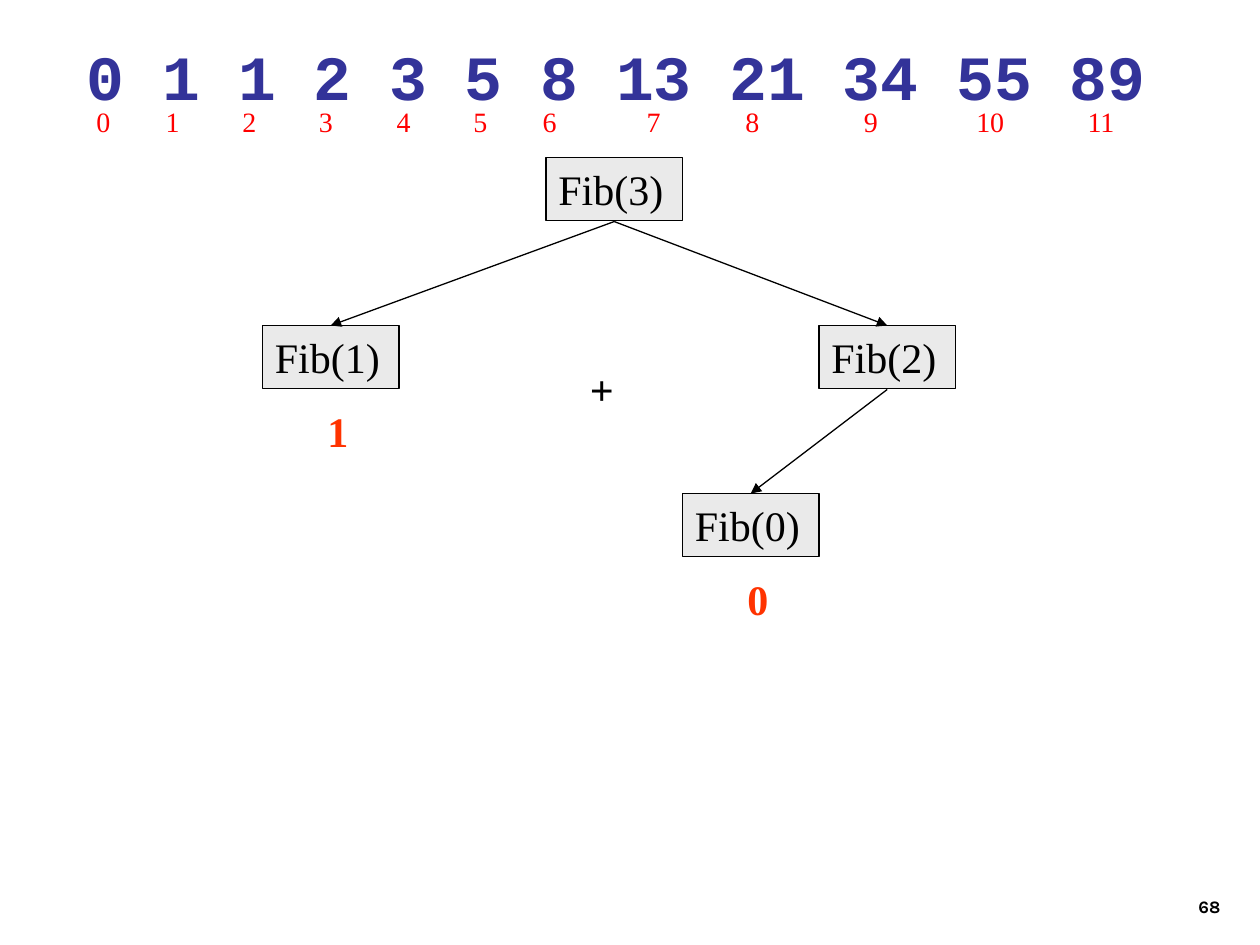
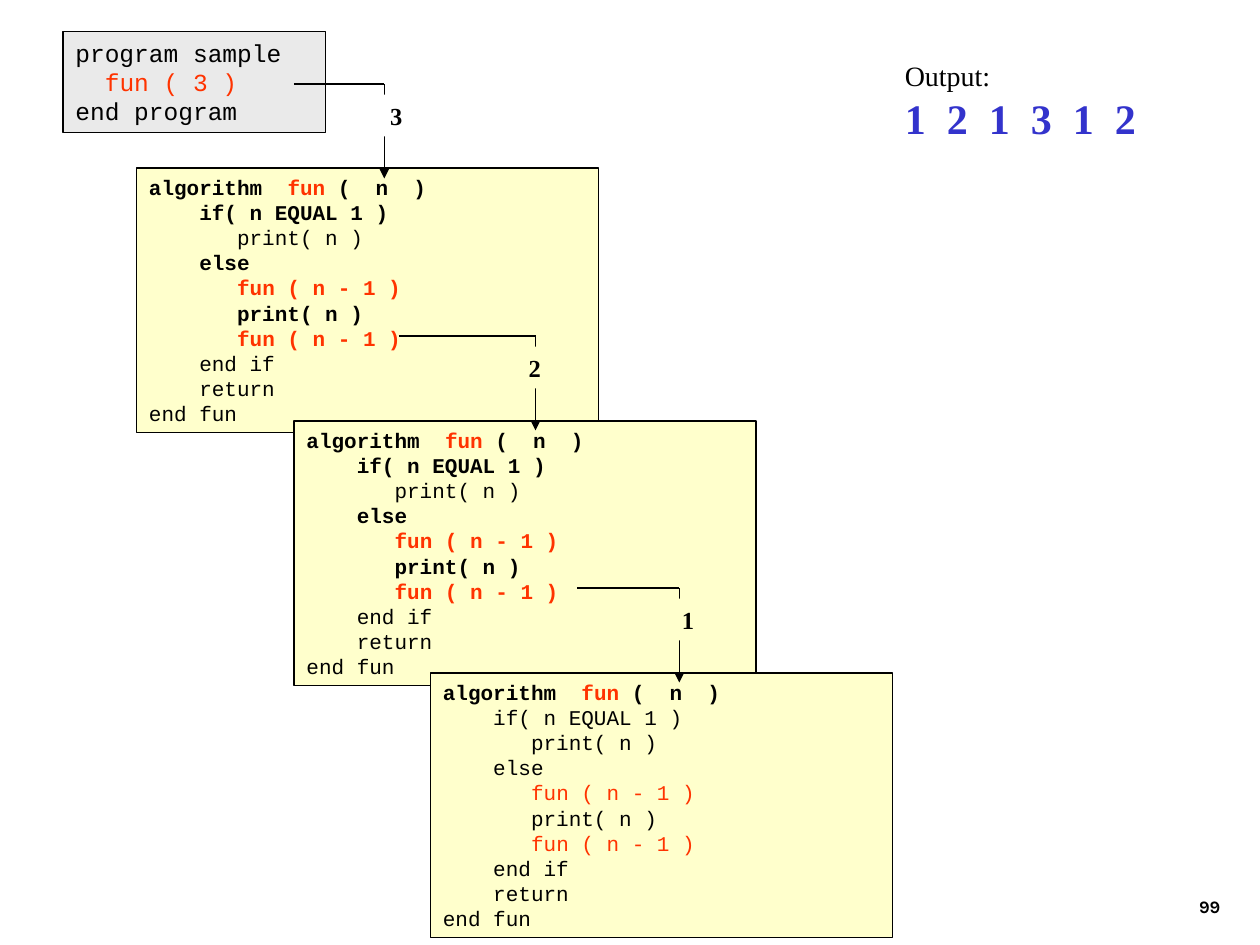
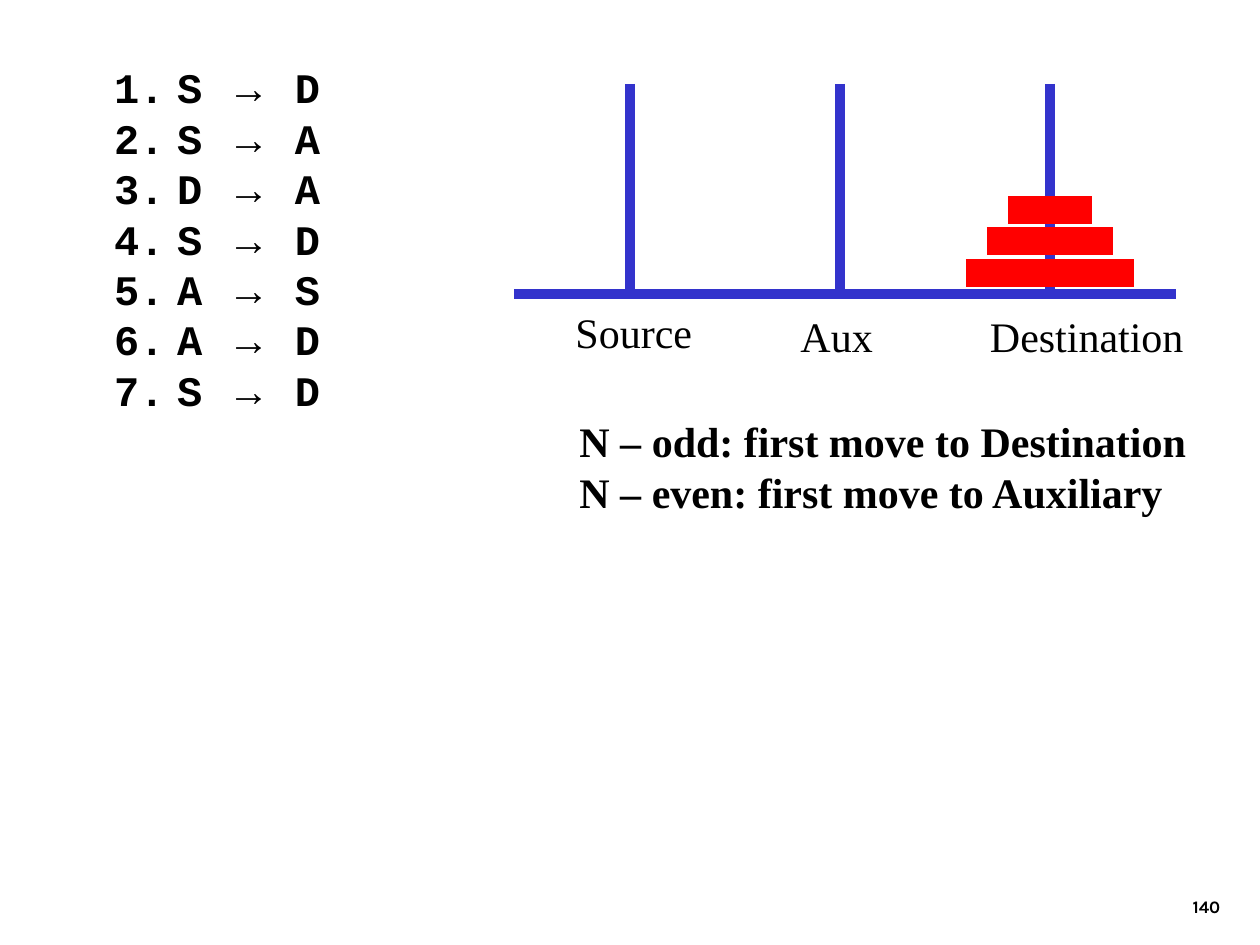
from dataclasses import dataclass, replace
from typing import NamedTuple, Optional

from lxml import etree
from pptx import Presentation
from pptx.dml.color import RGBColor
from pptx.enum.shapes import MSO_CONNECTOR, MSO_SHAPE
from pptx.enum.text import MSO_ANCHOR, MSO_AUTO_SIZE, PP_ALIGN
from pptx.oxml.ns import qn
from pptx.util import Inches, Pt

STRAIGHT = MSO_CONNECTOR.STRAIGHT
RECTANGLE = MSO_SHAPE.RECTANGLE
TOP, BOTTOM = MSO_ANCHOR.TOP, MSO_ANCHOR.BOTTOM
LEFT, RIGHT = PP_ALIGN.LEFT, PP_ALIGN.RIGHT
GROW = MSO_AUTO_SIZE.SHAPE_TO_FIT_TEXT

SLIDE_WIDTH, SLIDE_HEIGHT = Inches(10), Inches(7.5)
COLUMNS = 120
CELL = SLIDE_WIDTH / COLUMNS

BLACK, WHITE = "000000", "FFFFFF"
GRAY, CREAM = "EAEAEA", "FFFFCC"
RED, ORANGE = "FF0000", "FF3300"
BLUE, NAVY = "3333CC", "333399"
SERIF, MONO = "Times New Roman", "Courier New"


class Box(NamedTuple):
    column: float
    row: float
    columns: float
    rows: float


class Point(NamedTuple):
    column: float
    row: float


class Run(NamedTuple):
    text: str
    color: Optional[str] = None
    font: Optional[str] = None


@dataclass(frozen=True)
class Style:
    size: float
    font: str = SERIF
    color: str = BLACK
    bold: bool = False
    align: PP_ALIGN = LEFT
    tabs: tuple[float, ...] = ()
    numbered: bool = False


@dataclass(frozen=True)
class Paragraph:
    runs: tuple[Run, ...]
    style: Style


@dataclass(frozen=True)
class Node:
    label: str
    column: float
    row: float
    value: str = ""

    @property
    def box(self) -> Box:
        return Box(self.column, self.row, 13, 6)

    @property
    def top(self) -> Point:
        return Point(self.column + 6.5, self.row)

    @property
    def bottom(self) -> Point:
        return Point(self.column + 6.5, self.row + 6.1)


@dataclass(frozen=True)
class Call:
    argument: str
    start: Point
    turn: float
    badge: Box
    fill: str = CREAM


BODY = Style(24)
BOLD_BODY = replace(BODY, bold=True)
RESULT = replace(BOLD_BODY, color=ORANGE)
LABEL = replace(BODY, align=RIGHT)
PAGE_NUMBER = Style(10, "Karla", bold=True, align=RIGHT)
SEQUENCE = Style(36, MONO, NAVY, bold=True)
INDEX = Style(16, color=RED, tabs=(
    6.6, 13.9, 21.2, 28.6, 35.9, 42.5, 52.4, 61.8, 73.1, 83.8, 94.4))
CODE = Style(12, MONO)
PROGRAM = Style(14, MONO)
BADGE = Style(14, bold=True, align=RIGHT)
OUTPUT = replace(BOLD_BODY, color=BLUE, tabs=tuple(range(4, 24, 4)))
MOVE = replace(BOLD_BODY, font=MONO, numbered=True)

FUN_LINES = (
    "algorithm  |fun |(  n  )",
    "    if( n EQUAL 1 )",
    "       print( n )",
    "    else",
    "       |fun ( n - 1 )",
    "       print( n )",
    "       |fun ( n - 1 )",
    "    end if",
    "    return",
    "end fun",
)


def rgb(color: str) -> RGBColor:
    return RGBColor.from_string(color)


def grid(length: float) -> int:
    return round(length * CELL)


def plain(text: str, style: Style) -> Paragraph:
    return Paragraph((Run(text),), style)


def code(line: str, style: Style) -> Paragraph:
    parts = line.split("|")
    return Paragraph(tuple(Run(part, ORANGE if index % 2 else None)
                           for index, part in enumerate(parts)), style)


def add_list_and_tabs(paragraph, style: Style) -> None:
    properties = paragraph._p.get_or_add_pPr()
    if style.numbered:
        properties.set("marL", str(Inches(0.5)))
        properties.set("indent", str(-Inches(0.5)))
        etree.SubElement(properties, qn("a:buFont"), typeface=style.font)
        etree.SubElement(properties, qn("a:buAutoNum"), type="arabicPeriod")
    if style.tabs:
        tab_list = etree.SubElement(properties, qn("a:tabLst"))
        for tab in style.tabs:
            etree.SubElement(tab_list, qn("a:tab"), pos=str(grid(tab)), algn="l")


def write(shape, paragraphs: list[Paragraph], wrap: bool = True, anchor=TOP) -> None:
    frame = shape.text_frame
    frame.word_wrap = wrap
    frame.vertical_anchor = anchor
    for index, item in enumerate(paragraphs):
        paragraph = frame.add_paragraph() if index else frame.paragraphs[0]
        style = item.style
        add_list_and_tabs(paragraph, style)
        paragraph.alignment = style.align
        paragraph.font.name = style.font
        paragraph.font.size = Pt(style.size)
        paragraph.font.bold = style.bold
        paragraph.font.color.rgb = rgb(style.color)
        for part in item.runs:
            run = paragraph.add_run()
            run.text = part.text
            if part.color:
                run.font.color.rgb = rgb(part.color)
            if part.font:
                run.font.name = part.font


def add_text(slide, box: Box, paragraphs: list[Paragraph],
             wrap: bool = True, anchor=TOP) -> None:
    shape = slide.shapes.add_textbox(*map(grid, box))
    write(shape, paragraphs, wrap, anchor)
    if not wrap:
        shape.text_frame.auto_size = GROW


def add_panel(slide, box: Box, fill: str, paragraphs: list[Paragraph],
              outlined: bool = True, wrap: bool = True) -> None:
    shape = slide.shapes.add_shape(RECTANGLE, *map(grid, box))
    shape.shadow.inherit = False
    shape.fill.solid()
    shape.fill.fore_color.rgb = rgb(fill)
    if outlined:
        shape.line.color.rgb = rgb(BLACK)
        shape.line.width = Pt(0.75)
    else:
        shape.line.fill.background()
    write(shape, paragraphs, wrap)


def add_line(slide, start: Point, end: Point, color: str = BLACK,
             width: float = 0.75, arrow: bool = False) -> None:
    connector = slide.shapes.add_connector(STRAIGHT, *map(grid, start + end))
    connector.line.color.rgb = rgb(color)
    connector.line.width = Pt(width)
    properties = connector._element.spPr
    if arrow:
        etree.SubElement(properties.find(qn("a:ln")), qn("a:tailEnd"), type="triangle")
    etree.SubElement(properties, qn("a:effectLst"))


def add_slide(presentation, number: int):
    slide = presentation.slides.add_slide(presentation.slide_layouts[6])
    add_text(slide, Box(92.4, 81.9, 25, 6), [plain(str(number), PAGE_NUMBER)], anchor=BOTTOM)
    return slide


def build_fibonacci_tree(presentation) -> None:
    slide = add_slide(presentation, 68)
    root = Node("Fib(3)", 52, 15)
    first = Node("Fib(1)", 25, 31, "1")
    second = Node("Fib(2)", 78, 31)
    zero = Node("Fib(0)", 65, 47, "0")
    for node in (root, first, second, zero):
        add_panel(slide, node.box, GRAY, [plain(node.label, BODY)])
        if node.value:
            add_text(slide, Box(node.column + 5, node.row + 7, 5, 6),
                     [plain(node.value, RESULT)])
    for parent, child in ((root, first), (root, second), (second, zero)):
        add_line(slide, parent.bottom, child.top, arrow=True)
    add_text(slide, Box(55, 34, 5.8, 6), [plain("+", BOLD_BODY)])
    add_text(slide, Box(7.1, 3, 106.8, 8.4),
             [plain("0 1 1 2 3 5 8 13 21 34 55 89", SEQUENCE)], wrap=False)
    add_text(slide, Box(8, 9.4, 105, 4.4),
             [plain("\t".join(map(str, range(12))), INDEX)])


def add_call(slide, call: Call) -> None:
    corner = Point(call.turn, call.start.row)
    add_line(slide, call.start, corner)
    add_line(slide, corner, Point(call.turn, corner.row + 9), arrow=True)
    add_panel(slide, call.badge, call.fill, [plain(call.argument, BADGE)],
              outlined=False, wrap=False)


def build_call_trace(presentation) -> None:
    slide = add_slide(presentation, 99)
    frames = (
        (Point(13, 16), {0, 1, 3, 4, 5, 6}),
        (Point(28, 40.1), {0, 1, 3, 4, 5, 6}),
        (Point(41, 64.1), {0}),
    )
    for corner, bold_lines in frames:
        lines = [code(line, replace(CODE, bold=index in bold_lines))
                 for index, line in enumerate(FUN_LINES)]
        add_panel(slide, Box(*corner, 44, 25.2), CREAM, lines)
    program = ("program sample", "  |fun ( 3 )", "end program")
    add_panel(slide, Box(6, 3, 25, 9.6), GRAY, [code(line, PROGRAM) for line in program])
    add_text(slide, Box(85, 5, 29, 9.2),
             [plain("Output:", Style(16)), plain("\t".join("121312"), OUTPUT)])
    calls = (
        Call("3", Point(28, 8), 36.6, Box(34.8, 9, 4.7, 4), WHITE),
        Call("2", Point(38, 32), 51, Box(47.4, 33, 5.3, 4)),
        Call("1", Point(55, 56), 64.7, Box(62, 57, 5.3, 4)),
    )
    for call in calls:
        add_call(slide, call)


def build_hanoi(presentation) -> None:
    slide = add_slide(presentation, 140)
    base, destination = 28, 100
    add_line(slide, Point(49, base), Point(112, base), BLUE, 6)
    for peg in (60, 80, destination):
        add_line(slide, Point(peg, 8), Point(peg, base), BLUE, 6)
    for level, half in enumerate((8, 6, 4)):
        row = base - 2 - 3 * level
        add_line(slide, Point(destination - half, row),
                 Point(destination + half, row), RED, 16)
    labels = {
        "Source": Box(53.4, 28.6, 13.7, 6),
        "Aux": Box(74.8, 29, 9.5, 6),
        "Destination": Box(92.9, 29, 21, 6),
    }
    for label, box in labels.items():
        add_text(slide, box, [plain(label, LABEL)], wrap=False)
    moves = [Paragraph((Run(f"{source} "), Run("→", font="Arial"), Run(f" {target}")), MOVE)
             for source, target in ("SD", "SA", "DA", "SD", "AS", "AD", "SD")]
    add_text(slide, Box(9.7, 5.3, 22, 34.8), moves, wrap=False)
    rules = ("N – odd: first move to Destination", "N – even: first move to Auxiliary")
    add_text(slide, Box(54, 39, 60.4, 10.8),
             [plain(rule, BOLD_BODY) for rule in rules], wrap=False)


def main() -> None:
    presentation = Presentation()
    presentation.slide_width = SLIDE_WIDTH
    presentation.slide_height = SLIDE_HEIGHT
    build_fibonacci_tree(presentation)
    build_call_trace(presentation)
    build_hanoi(presentation)
    presentation.save("out.pptx")


if __name__ == "__main__":
    main()
